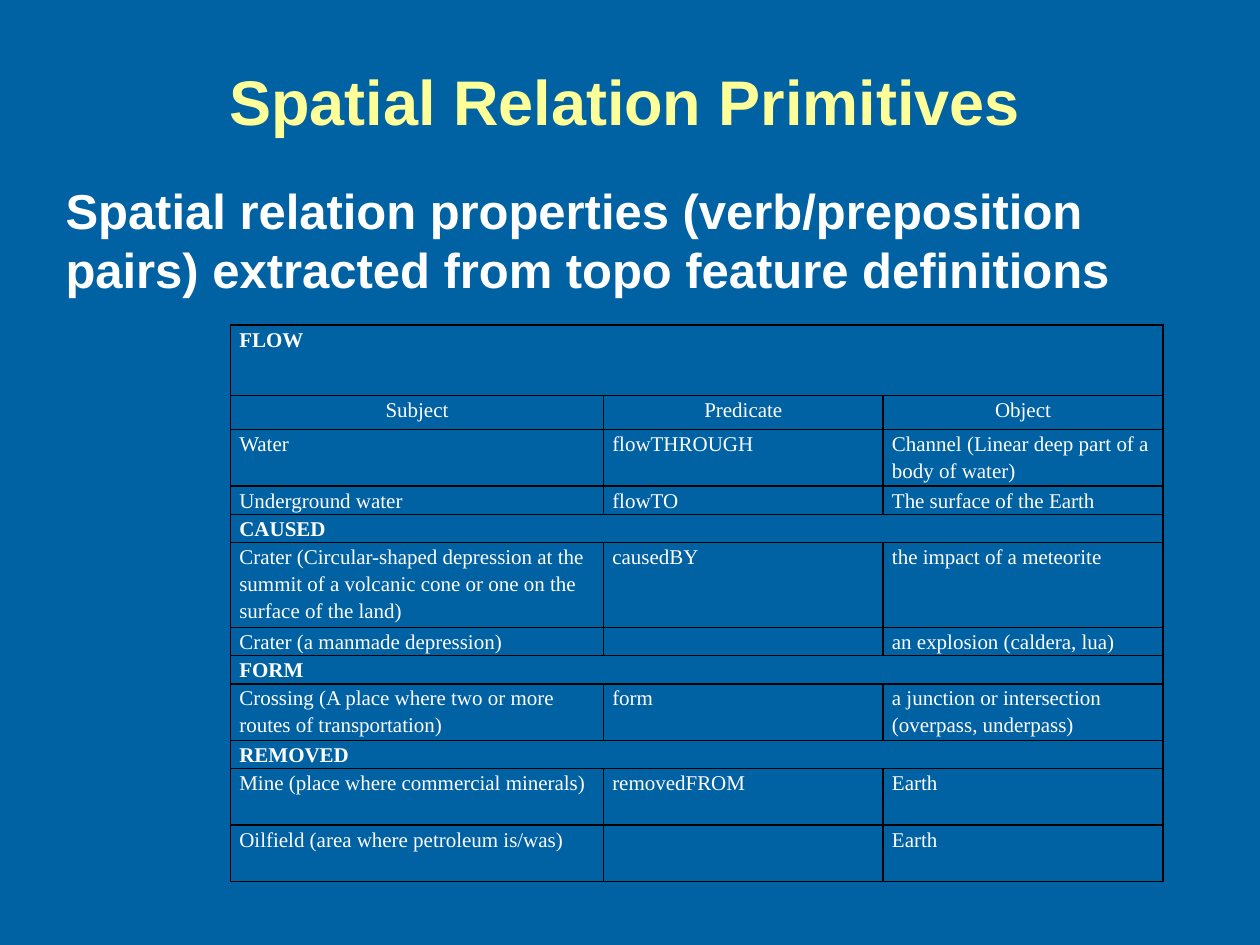
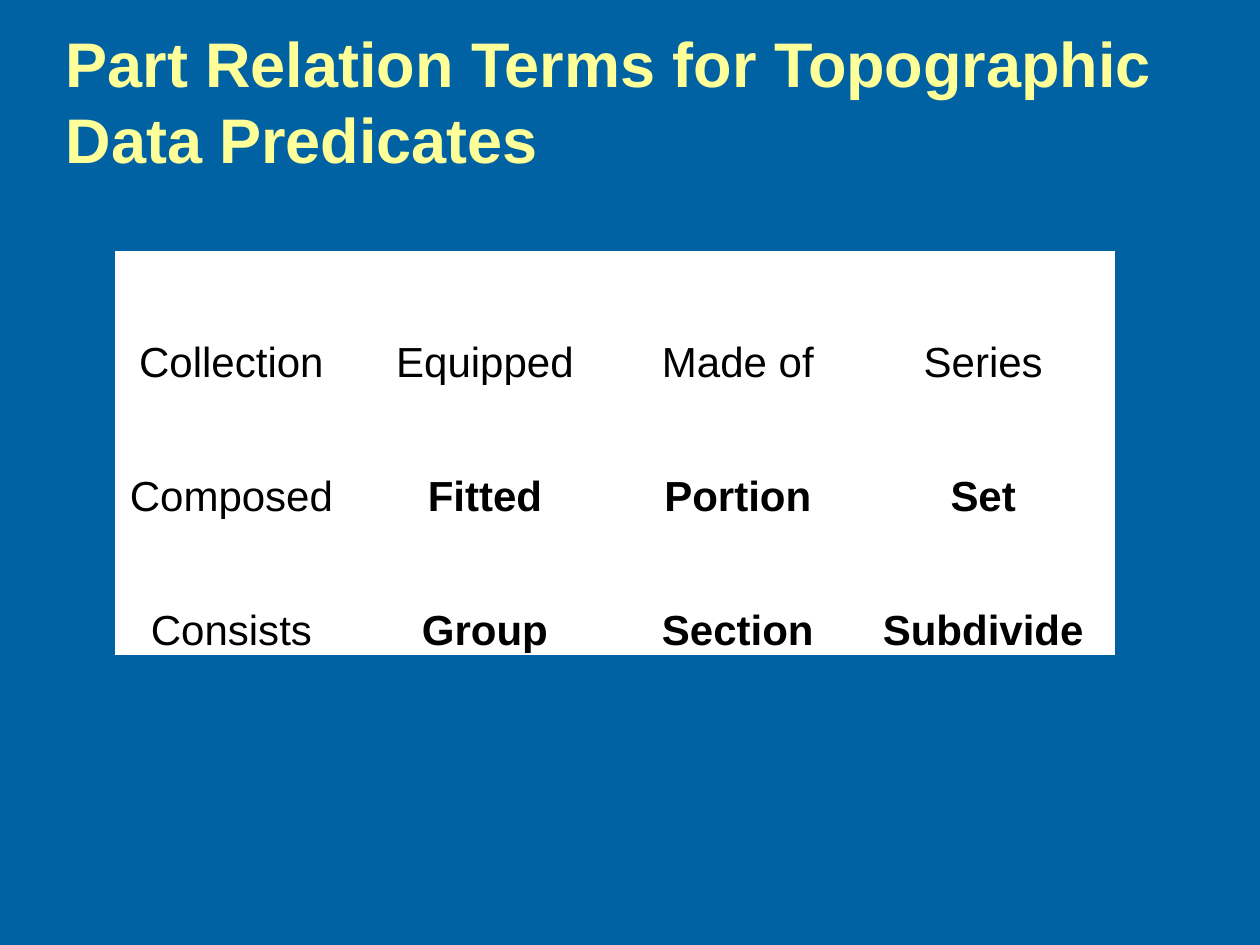
"""Build two slides on spatial and part relations of topographic data."""
from dataclasses import dataclass

from lxml import etree
from pptx import Presentation
from pptx import util as u
from pptx.dml import color
from pptx.enum import text
from pptx.oxml import ns

WIDTH, HEIGHT = u.Inches(10), u.Inches(7.5)


@dataclass(frozen=True)
class Theme:
    """Colours, fonts and type sizes of the deck."""
    background: str = "0061A3"
    title: str = "FFFF99"
    light: str = "FFFFFF"
    dark: str = "000000"
    sans: str = "Arial"
    serif: str = "Times New Roman"
    title_size: int = 36
    body_size: int = 28
    term_size: int = 24
    relation_size: int = 12


THEME = Theme()
LEFT, CENTER = text.PP_ALIGN.LEFT, text.PP_ALIGN.CENTER
TITLE_BOX = (4.2, 2.27, 90.8, 16.67)
BODY_BOX = (4.2, 17.73, 90, 15.6)
RELATION_BOX = (18.3, 34.4, 74, 58.93)
TERM_BOX = (9.2, 26.67, 79.2, 42.53)

RELATION_COLUMNS = (4, 3, 3)
RELATIONS = [
    (2.5, ["FLOW"]),
    (1.2, ["Subject", "Predicate", "Object"]),
    (2, ["Water", "flowTHROUGH", "Channel (Linear deep part of a body of water)"]),
    (1, ["Underground water", "flowTO", "The surface of the Earth"]),
    (1, ["CAUSED"]),
    (3, ["Crater (Circular-shaped depression at the summit of a volcanic cone "
         "or one on the surface of the land)", "causedBY", "the impact of a meteorite"]),
    (1, ["Crater (a manmade depression)", "", "an explosion (caldera, lua)"]),
    (1, ["FORM"]),
    (2, ["Crossing (A place where two or more routes of transportation)", "form",
         "a junction or intersection (overpass, underpass)"]),
    (1, ["REMOVED"]),
    (2, ["Mine (place where commercial minerals)", "removedFROM", "Earth"]),
    (2, ["Oilfield (area where petroleum is/was)", "", "Earth"]),
]
TERM_COLUMNS = (1.83, 2.19, 1.82, 2.07)
TERMS = [
    ["Collection", "Equipped", "Made of", "Series"],
    ["Composed", "Fitted", "Portion", "Set"],
    ["Consists", "Group", "Section", "Subdivide"],
]


def apply(target, values):
    """Set every attribute named in a dict of values."""
    for name, value in values.items():
        setattr(target, name, value)


def box(shares):
    """Turn percentages of the slide into left, top, width and height."""
    return [int(side * share / 100)
            for side, share in zip((WIDTH, HEIGHT) * 2, shares)]


def style_font(font, face, size, colour, bold):
    """Give a font its face, size, colour and weight."""
    apply(font, {"name": face, "size": u.Pt(size), "bold": bold})
    font.color.rgb = color.RGBColor.from_string(colour)


def fill_placeholder(shape, shares, words, size, colour, **paragraph_format):
    """Move a placeholder and write one bold paragraph without bullet in it."""
    apply(shape, dict(zip(("left", "top", "width", "height"), box(shares))))
    frame = shape.text_frame
    apply(frame, {"text": words, "word_wrap": True,
                  "auto_size": text.MSO_AUTO_SIZE.NONE})
    paragraph = frame.paragraphs[0]
    properties = paragraph._p.get_or_add_pPr()
    apply_indent = {"marL": "0", "indent": "0"}
    for name, value in apply_indent.items():
        properties.set(name, value)
    apply(paragraph, {"space_before": u.Pt(0), **paragraph_format})
    etree.SubElement(properties, ns.qn("a:buNone"))
    style_font(paragraph.runs[0].font, THEME.sans, size, colour, True)
    return frame


def add_title(slide, words, alignment):
    """Write the slide's title."""
    frame = fill_placeholder(slide.shapes.title, TITLE_BOX, words,
                             THEME.title_size, THEME.title, alignment=alignment)
    frame.vertical_anchor = text.MSO_ANCHOR.MIDDLE


def add_body(slide, words):
    """Write the slide's lead sentence."""
    frame = fill_placeholder(slide.placeholders[1], BODY_BOX, words,
                             THEME.body_size, THEME.light, alignment=LEFT)
    apply(frame, {"vertical_anchor": text.MSO_ANCHOR.TOP, "margin_top": u.Inches(0.1)})


def add_grid(slide, shares, column_weights, row_weights):
    """Add a plain table whose columns and rows follow the given weights."""
    left, top, width, height = box(shares)
    table = slide.shapes.add_table(len(row_weights), len(column_weights),
                                   left, top, width, height).table
    apply(table, {"first_row": False, "horz_banding": False})
    for column, weight in zip(table.columns, column_weights):
        column.width = int(width * weight / sum(column_weights))
    for row, weight in zip(table.rows, row_weights):
        row.height = int(height * weight / sum(row_weights))
    return table


def draw_borders(cell, colour):
    """Draw a one-point line on the four sides of a cell."""
    properties = cell._tc.get_or_add_tcPr()
    for index, side in enumerate(("lnL", "lnR", "lnT", "lnB")):
        line = etree.Element(ns.qn(f"a:{side}"), w=str(u.Pt(1)))
        fill = etree.SubElement(line, ns.qn("a:solidFill"))
        etree.SubElement(fill, ns.qn("a:srgbClr"), val=colour)
        properties.insert(index, line)


def write_cell(cell, words, font, side_margin, anchor, **paragraph_format):
    """Write one paragraph in a cell and set its margins."""
    apply(cell, {"margin_left": side_margin, "margin_right": side_margin,
                 "margin_top": 0, "margin_bottom": 0, "vertical_anchor": anchor})
    paragraph = cell.text_frame.paragraphs[0]
    apply(paragraph, paragraph_format)
    if words:
        run = paragraph.add_run()
        run.text = words
        style_font(run.font, *font)
    else:
        etree.SubElement(paragraph._p, ns.qn("a:endParaRPr"), sz=str(font[1] * 100))


def add_relation_table(slide):
    """Add the subject, predicate and object table with its group rows."""
    table = add_grid(slide, RELATION_BOX, RELATION_COLUMNS,
                     [lines for lines, _ in RELATIONS])
    for row, (_, entries) in enumerate(RELATIONS):
        is_group = len(entries) == 1
        if is_group:
            table.cell(row, 0).merge(table.cell(row, len(RELATION_COLUMNS) - 1))
        font = (THEME.serif, THEME.relation_size, THEME.light, is_group)
        for column, words in enumerate(entries):
            write_cell(table.cell(row, column), words, font, u.Inches(0.07),
                       text.MSO_ANCHOR.TOP, line_spacing=1.15,
                       alignment=CENTER if row == 1 else LEFT)
    for cell in table.iter_cells():
        cell.fill.background()
        draw_borders(cell, THEME.dark)


def add_term_table(slide):
    """Add the white table of part relation terms."""
    table = add_grid(slide, TERM_BOX, TERM_COLUMNS, [1] * len(TERMS))
    for row, entries in enumerate(TERMS):
        for column, words in enumerate(entries):
            cell = table.cell(row, column)
            font = (THEME.sans, THEME.term_size, THEME.dark, row > 0 and column > 0)
            write_cell(cell, words, font, 0, text.MSO_ANCHOR.BOTTOM,
                       line_spacing=u.Pt(10), alignment=CENTER)
            cell.fill.solid()
            cell.fill.fore_color.rgb = color.RGBColor.from_string(THEME.light)
            draw_borders(cell, THEME.light)


def main():
    """Build and save the presentation."""
    presentation = Presentation()
    apply(presentation, {"slide_width": WIDTH, "slide_height": HEIGHT})
    background = presentation.slide_master.background.fill
    background.solid()
    background.fore_color.rgb = color.RGBColor.from_string(THEME.background)
    layouts = presentation.slide_layouts

    slide = presentation.slides.add_slide(layouts.get_by_name("Title and Content"))
    add_title(slide, "Spatial Relation Primitives", CENTER)
    add_body(slide, "Spatial relation properties (verb/preposition pairs) "
                    "extracted from topo feature definitions")
    add_relation_table(slide)

    slide = presentation.slides.add_slide(layouts.get_by_name("Title Only"))
    add_title(slide, "Part Relation Terms for Topographic Data Predicates", LEFT)
    add_term_table(slide)

    presentation.save("out.pptx")


if __name__ == "__main__":
    main()
